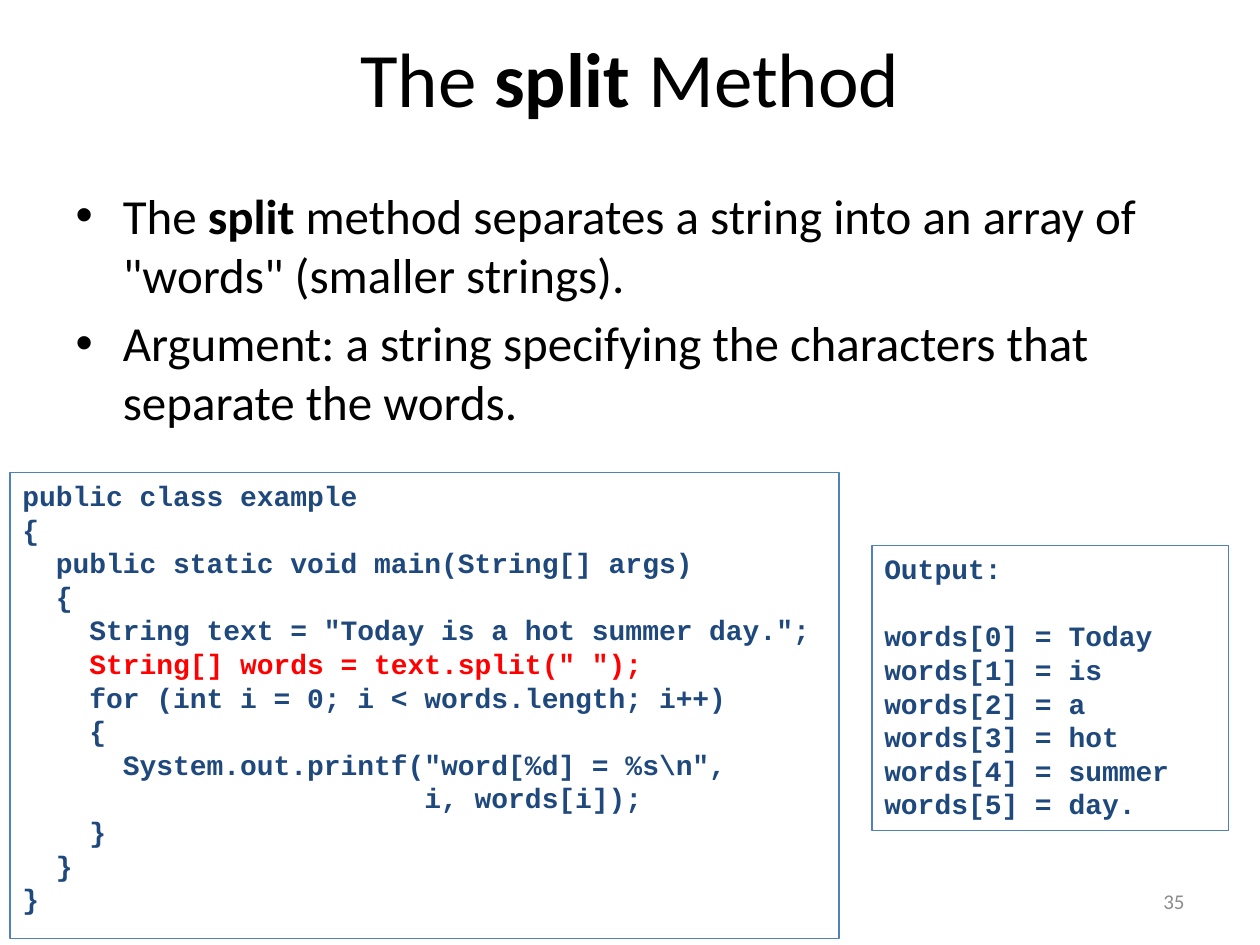
from pptx import Presentation
from pptx.dml.color import RGBColor
from pptx.enum.shapes import MSO_SHAPE
from pptx.enum.text import MSO_ANCHOR, MSO_AUTO_SIZE, PP_ALIGN
from pptx.util import Inches, Pt

COLORS = {"text": "000000", "code": "1F497D", "accent": "FF0000",
          "border": "4F81BD", "number": "8C8C8C"}
BODY_FONT, CODE_FONT = "Calibri", "Courier New"

# Each paragraph is a list of (text, bold) runs.
TITLE = [[("The ", False), ("split", True), (" Method", False)]]
BULLETS = [
    [("The ", False), ("split ", True),
     ('method separates a string into an array of "words" (smaller strings).', False)],
    [("Argument: a string specifying the characters that separate the words.", False)],
]
NUMBER = [[("35", False)]]

HIGHLIGHT = '    String[] words = text.split(" ");'
CODE = [
    "public class example",
    "{",
    "  public static void main(String[] args)",
    "  {",
    '    String text = "Today is a hot summer day.";',
    HIGHLIGHT,
    "    for (int i = 0; i < words.length; i++)",
    "    {",
    '      System.out.printf("word[%d] = %s\\n", \n                        i, words[i]);',
    "    }",
    "  }  ",
    "}",
]
WORDS = "Today is a hot summer day.".split(" ")
OUTPUT = [f"words[{i}] = {word}" for i, word in enumerate(WORDS)]
OUTPUT[0] = "Output:\n\n" + OUTPUT[0]

# Left, top, width, height in inches.
BOXES = {"title": (0.5, 0.13, 9, 0.95), "body": (0.5, 1.42, 9, 5.28),
         "number": (7.17, 6.95, 2.33, 0.4),
         "code": (0.08, 3.75, 6.58, 3.7), "output": (6.92, 4.33, 2.83, 2.26)}


def inches(name):
    """Return the named box as lengths."""
    return [Inches(v) for v in BOXES[name]]


def place(sp, name):
    """Move a placeholder to its named box."""
    sp.left, sp.top, sp.width, sp.height = inches(name)


def add_run(p, text, size, font, color, bold):
    """Append one formatted run to a paragraph."""
    r = p.add_run()
    r.text = text
    r.font.size, r.font.name, r.font.bold = Pt(size), font, bold
    r.font.color.rgb = RGBColor.from_string(COLORS[color])


def paragraphs(tf, items):
    """Yield a paragraph of the frame with each item."""
    for i, item in enumerate(items):
        yield (tf.add_paragraph() if i else tf.paragraphs[0]), item


def write_text(sp, items, size, color="text", align=None, anchor=None):
    """Fill a shape with paragraphs of plain and bold runs."""
    tf = sp.text_frame
    tf.word_wrap, tf.auto_size = True, MSO_AUTO_SIZE.NONE
    tf.vertical_anchor = anchor
    for p, runs in paragraphs(tf, items):
        p.alignment = align
        for text, bold in runs:
            add_run(p, text, size, BODY_FONT, color, bold)


def add_listing(s, name, lines):
    """Draw an outlined box of monospaced lines."""
    sp = s.shapes.add_shape(MSO_SHAPE.RECTANGLE, *inches(name))
    sp.shadow.inherit = False
    sp.fill.background()
    sp.line.color.rgb = RGBColor.from_string(COLORS["border"])
    sp.line.width = Pt(0.75)
    tf = sp.text_frame
    tf.word_wrap, tf.auto_size = True, MSO_AUTO_SIZE.SHAPE_TO_FIT_TEXT
    tf.vertical_anchor = MSO_ANCHOR.TOP
    for p, line in paragraphs(tf, lines):
        p.alignment = PP_ALIGN.LEFT
        color = "accent" if line == HIGHLIGHT else "code"
        for i, part in enumerate(line.split("\n")):
            if i:
                p.add_line_break()
            if part:
                add_run(p, part, 16, CODE_FONT, color, True)
        for br in p._p.br_lst if hasattr(p._p, "br_lst") else []:
            br.get_or_add_rPr().set("sz", "1600") if hasattr(br, "get_or_add_rPr") else None


def build():
    """Build and save the slide."""
    prs = Presentation()
    prs.slide_width, prs.slide_height = Inches(10), Inches(7.5)
    s = prs.slides.add_slide(prs.slide_layouts[1])
    title, body = s.shapes.title, s.placeholders[1]
    place(title, "title")
    place(body, "body")
    write_text(title, TITLE, 44, align=PP_ALIGN.CENTER, anchor=MSO_ANCHOR.MIDDLE)
    write_text(body, BULLETS, 28, anchor=MSO_ANCHOR.TOP)
    number = s.shapes.add_textbox(*inches("number"))
    write_text(number, NUMBER, 12, "number", PP_ALIGN.RIGHT, MSO_ANCHOR.MIDDLE)
    add_listing(s, "code", CODE)
    add_listing(s, "output", OUTPUT)
    prs.save("out.pptx")


build()
